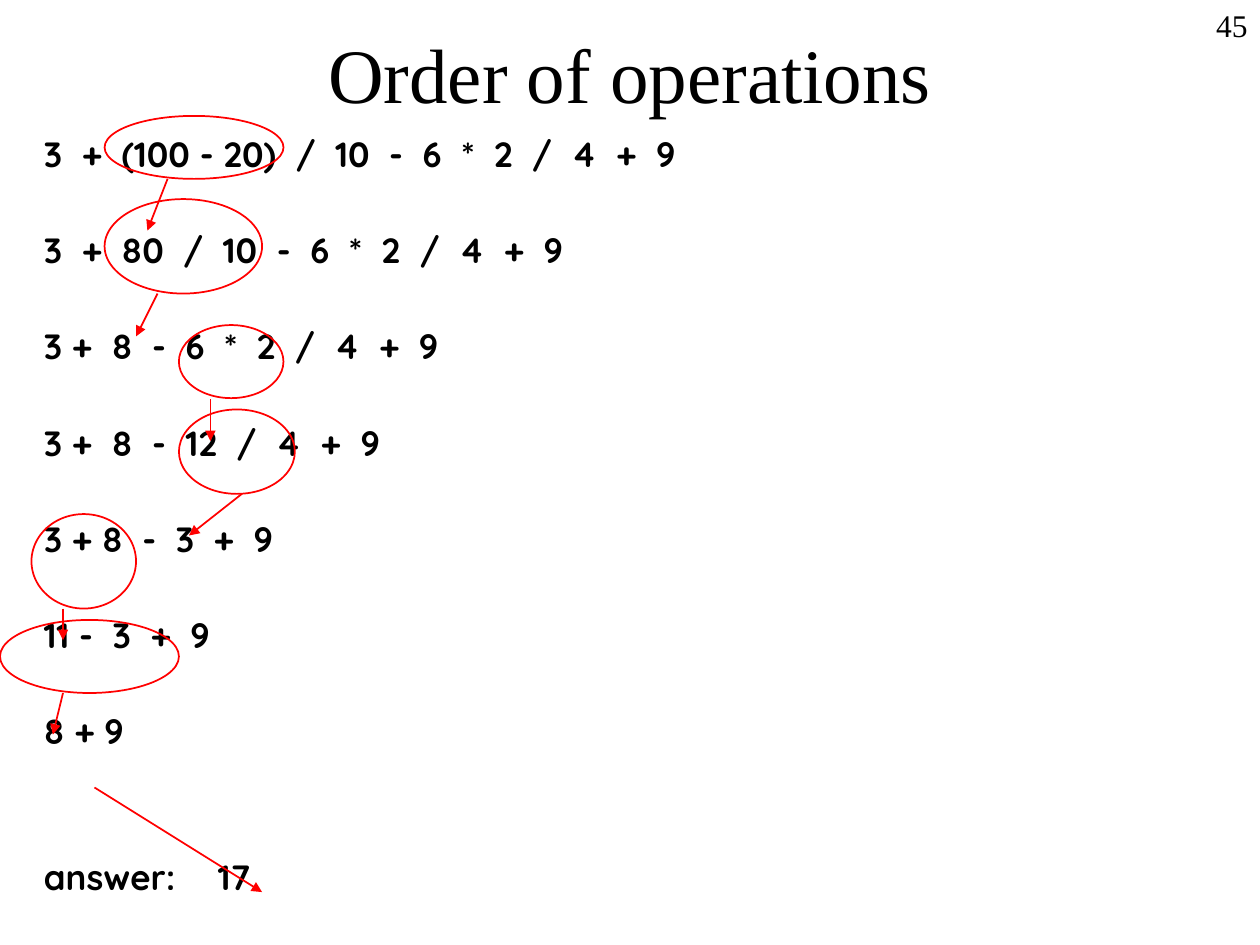
"""Build the order of operations slide."""
import pptx
import pptx.dml.color
import pptx.enum.shapes
import pptx.enum.text
import pptx.oxml.ns
import pptx.util
from lxml import etree

Inches, Pt = pptx.util.Inches, pptx.util.Pt
ALIGN = pptx.enum.text.PP_ALIGN
ANCHOR = pptx.enum.text.MSO_ANCHOR
COLORS = {"text": "000000", "mark": "FF0000"}
HEADING_FONT, BODY_FONT = "Times New Roman", "Quicksand"
INDENT = Inches(0.38)
STEP_GAP, ANSWER_GAP = 31, 59

PAGE_NUMBER = "45"
TITLE = "Order of operations"
STEPS = [
    "3  +  (100 - 20)  /  10  -  6  *  2  /  4  +  9",
    "3  +  80  /  10  -  6  *  2  /  4  +  9",
    "3 +  8  -  6  *  2  /  4  +  9",
    "3 +  8  -  12  /  4  +  9",
    "3 + 8  -  3  +  9",
    "11 -  3  +  9",
    "8 + 9",
]
ANSWER = "answer:\t17"
OVALS = [
    (0.83, 0.92, 1.42, 0.5),
    (0.83, 1.58, 1.25, 0.75),
    (1.42, 2.58, 0.83, 0.58),
    (1.42, 3.25, 0.92, 0.67),
    (0.25, 4.08, 0.83, 0.75),
    (0, 4.92, 1.42, 0.58),
]
ARROWS = [
    (1.33, 1.42, 1.17, 1.83),
    (1.25, 2.33, 1.08, 2.67),
    (1.67, 3.17, 1.67, 3.5),
    (1.92, 3.92, 1.5, 4.25),
    (0.5, 4.83, 0.5, 5.08),
    (0.5, 5.5, 0.42, 5.83),
    (0.75, 6.25, 2.08, 7.08),
]


def rgb(name):
    return pptx.dml.color.RGBColor.from_string(COLORS[name])


def add_text(slide, box, lines, font, size, align=ALIGN.LEFT, anchor=ANCHOR.TOP, bold=False):
    tf = slide.shapes.add_textbox(*map(Inches, box)).text_frame
    tf.word_wrap = True
    tf.vertical_anchor = anchor
    for i, line in enumerate(lines):
        p = tf.add_paragraph() if i else tf.paragraphs[0]
        p.text = line
        p.alignment = align
        p.font.name, p.font.size, p.font.bold = font, Pt(size), bold
        p.font.color.rgb = rgb("text")
    return tf


def style_line(line):
    line.color.rgb = rgb("mark")
    line.width = Pt(1)


def add_oval(slide, box):
    sp = slide.shapes.add_shape(pptx.enum.shapes.MSO_SHAPE.OVAL, *map(Inches, box))
    sp.shadow.inherit = False
    sp.fill.background()
    style_line(sp.line)


def add_arrow(slide, ends):
    kind = pptx.enum.shapes.MSO_CONNECTOR.STRAIGHT
    cxn = slide.shapes.add_connector(kind, *map(Inches, ends))
    style_line(cxn.line)
    qn = pptx.oxml.ns.qn
    etree.SubElement(cxn.line._get_or_add_ln(), qn("a:tailEnd"), type="triangle")
    etree.SubElement(cxn._element.spPr, qn("a:effectLst"))


def main():
    prs = pptx.Presentation()
    prs.slide_width, prs.slide_height = Inches(10), Inches(7.5)
    slide = prs.slides.add_slide(prs.slide_layouts[6])

    add_text(slide, (8.5, 0, 1.5, 0.42), [PAGE_NUMBER], HEADING_FONT, 18, ALIGN.RIGHT)
    add_text(slide, (0, 0.08, 10, 1), [TITLE], HEADING_FONT, 44, ALIGN.CENTER, ANCHOR.MIDDLE)
    tf = add_text(slide, (0.25, 1, 9.58, 6.42), STEPS + [ANSWER], BODY_FONT, 20, bold=True)
    gaps = [0] + [STEP_GAP] * (len(STEPS) - 1) + [ANSWER_GAP]
    for p, gap in zip(tf.paragraphs, gaps):
        p.space_before = Pt(gap)
        pPr = p._p.get_or_add_pPr()
        pPr.set("marL", str(INDENT))
        pPr.set("indent", str(-INDENT))

    for box in OVALS:
        add_oval(slide, box)
    for ends in ARROWS:
        add_arrow(slide, ends)
    prs.save("out.pptx")


if __name__ == "__main__":
    main()
